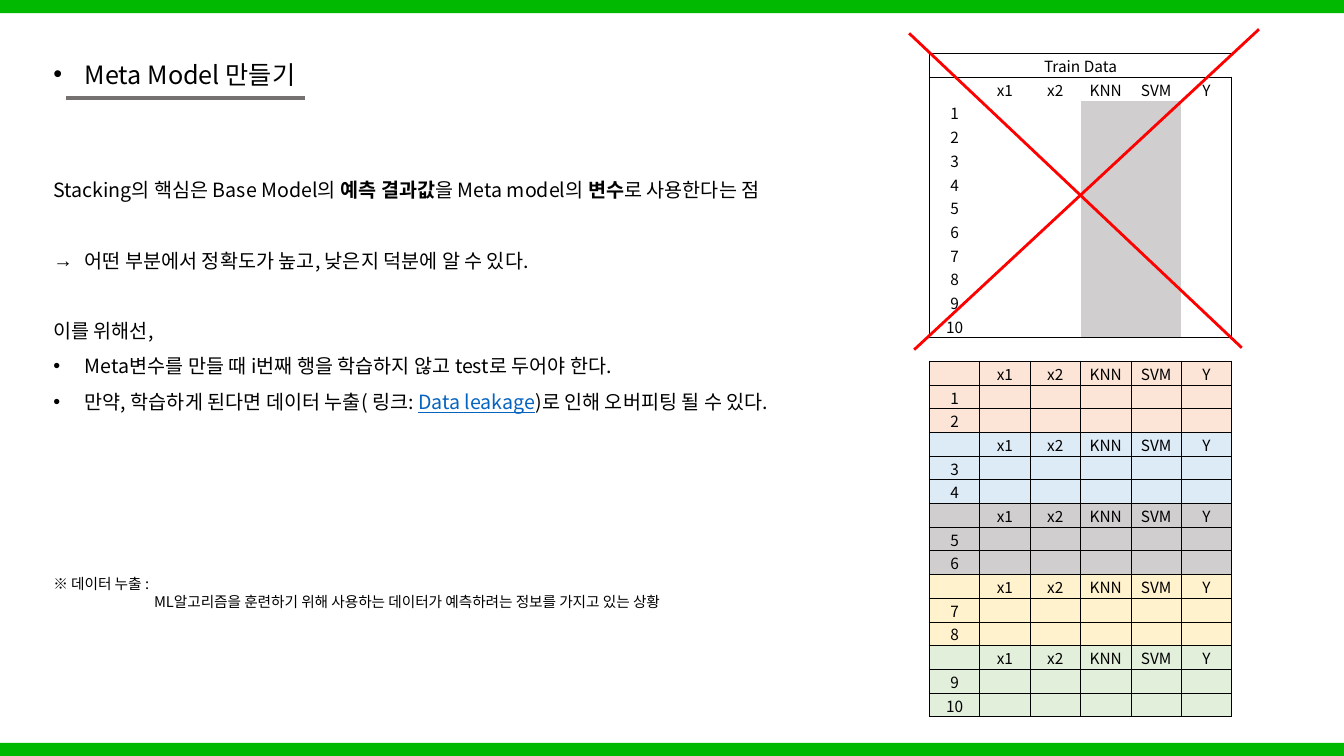
from pptx import Presentation
from pptx.dml.color import RGBColor
from pptx.enum.shapes import MSO_CONNECTOR, MSO_SHAPE
from pptx.enum.text import MSO_ANCHOR, PP_ALIGN
from pptx.oxml.xmlchemy import OxmlElement
from pptx.util import Pt

LINE, RECT = MSO_CONNECTOR.STRAIGHT, MSO_SHAPE.RECTANGLE
MIDDLE, CENTER = MSO_ANCHOR.MIDDLE, PP_ALIGN.CENTER
FONT = "Noto Sans CJK KR"
BLACK = RGBColor(0x00, 0x00, 0x00)
GREEN = RGBColor(0x00, 0xB9, 0x00)
RED = RGBColor(0xFF, 0x00, 0x00)
RULE_GRAY = RGBColor(0x76, 0x71, 0x71)
GRAY = RGBColor(0xD0, 0xCE, 0xCE)
LINK_BLUE = RGBColor(0x05, 0x63, 0xC1)
PEACH = RGBColor(0xFC, 0xE4, 0xD6)
SKY = RGBColor(0xDD, 0xEB, 0xF7)
CREAM = RGBColor(0xFF, 0xF2, 0xCC)
MINT = RGBColor(0xE2, 0xEF, 0xDA)

SLIDE_W, SLIDE_H, BAR_H = 960, 540, 9.36
BOLD = {"bold": True}
LINK = {"underline": True}

TITLE = [("•", 0, [("Meta Model 만들기", {}, BLACK)])]
BODY = [
    (None, 0, [("Stacking의 핵심은 Base Model의 ", {}, BLACK), ("예측 결과값", BOLD, BLACK),
               ("을 Meta model의 ", {}, BLACK), ("변수", BOLD, BLACK),
               ("로 사용한다는 점", {}, BLACK)]),
    ("→", 25.2, [("어떤 부분에서 정확도가 높고, 낮은지 덕분에 알 수 있다.", {}, BLACK)]),
    (None, 25.2, [("이를 위해선,", {}, BLACK)]),
    ("•", 0, [("Meta변수를 만들 때 i번째 행을 학습하지 않고 test로 두어야 한다.", {}, BLACK)]),
    ("•", 0, [("만약, 학습하게 된다면 데이터 누출( 링크: ", {}, BLACK),
              ("Data leakage", LINK, LINK_BLUE),
              (")로 인해 오버피팅 될 수 있다.", {}, BLACK)]),
]
NOTE = [
    (None, 0, [("※ 데이터 누출 :", {}, BLACK)]),
    ("indent", 0, [("ML알고리즘을 훈련하기 위해 사용하는 데이터가 예측하려는 정보를 가지고 있는 상황",
                    {}, BLACK)]),
]
TEXTS = [
    ((31, 38.16, 204.5, 28.8), 18, 22, TITLE),
    ((31, 115.2, 593.3, 236.2), 14, 25.2, BODY),
    ((31, 406.8, 512.6, 32.4), 10.5, 12.8, NOTE),
]

HEADER = ["", "x1", "x2", "KNN", "SVM", "Y"]
COLS = len(HEADER)
FOLD_COLORS = [PEACH, SKY, GRAY, CREAM, MINT]
FOLD_SIZE = 2
TABLE_X, COL_W, ROW_H = 663.84, 36, 16.94
TRAIN_Y, FOLDS_Y = 38.16, 258
NO_STYLE = "{2D5ABB26-0587-4C30-8999-92F81FD0307C}"

LINES = [
    ((47.5, 69.84), (218.2, 69.84), RULE_GRAY, 3),
    ((649.4, 23.8), (887, 248.4), RED, 2),
    ((653, 249.8), (899.3, 20.9), RED, 2),
]


def child(parent, tag, **attrs):
    e = OxmlElement(tag)
    for name, value in attrs.items():
        e.set(name, str(value))
    parent.append(e)
    return e


def add_run(p, text, size, color, formats):
    r = p.add_run()
    r.text = text
    for name, value in {"name": FONT, "size": Pt(size), **formats}.items():
        setattr(r.font, name, value)
    r.font.color.rgb = color
    child(r.font._element, "a:ea", typeface=FONT)


def add_text(s, box, size, pitch, paragraphs):
    tf = s.shapes.add_textbox(*map(Pt, box)).text_frame
    tf.word_wrap = True
    for i, (bullet, gap, runs) in enumerate(paragraphs):
        p = tf.add_paragraph() if i else tf.paragraphs[0]
        p.line_spacing, p.space_before = Pt(pitch), Pt(gap)
        pPr = p._p.get_or_add_pPr()
        if bullet == "indent":
            pPr.set("marL", str(Pt(72)))
        elif bullet:
            pPr.set("marL", str(Pt(22.5)))
            pPr.set("indent", str(Pt(-22.5)))
            child(pPr, "a:buFont", typeface="Arial")
            child(pPr, "a:buChar", char=bullet)
        for text, formats, color in runs:
            add_run(p, text, size, color, formats)


def add_line(s, start, end, color, width):
    c = s.shapes.add_connector(LINE, *map(Pt, start + end))
    c.line.color.rgb, c.line.width = color, Pt(width)
    child(c._element.spPr, "a:effectLst")


def style_cell(cell, text, fill, borders):
    margins = {"left": 0.7, "right": 0.7, "top": 0.7, "bottom": 0}
    for side, value in margins.items():
        setattr(cell, "margin_" + side, Pt(value))
    cell.vertical_anchor = MIDDLE
    p = cell.text_frame.paragraphs[0]
    p.alignment = CENTER
    if text:
        add_run(p, text, 11, BLACK, {})
    else:
        child(p._p, "a:endParaRPr", sz=1100)
    tcPr = cell._tc.get_or_add_tcPr()
    for side, width in zip("LRTB", borders):
        ln = child(tcPr, "a:ln" + side, w=Pt(width))
        if width:
            child(child(ln, "a:solidFill"), "a:srgbClr", val=BLACK)
        else:
            child(ln, "a:noFill")
    if fill is None:
        cell.fill.background()
    else:
        cell.fill.solid()
        cell.fill.fore_color.rgb = fill


def add_grid(s, y, rows, fill_at, inner, breaks):
    frame = s.shapes.add_table(len(rows), COLS, Pt(TABLE_X), Pt(y),
                               Pt(COLS * COL_W), Pt(len(rows) * ROW_H))
    table = frame.table
    table.first_row = table.horz_banding = False
    table._tbl.tblPr[0].text = NO_STYLE
    for column in table.columns:
        column.width = Pt(COL_W)
    for i, row in enumerate(rows):
        table.rows[i].height = Pt(ROW_H)
        for j, text in enumerate(row):
            borders = (1 if j == 0 else inner, 1 if j == COLS - 1 else inner,
                       1 if i in breaks else inner, 1 if i + 1 in breaks else inner)
            style_cell(table.cell(i, j), text, fill_at(i, j), borders)
    return table


def add_train_table(s):
    numbers = [[str(n)] + [""] * (COLS - 1)
               for n in range(1, len(FOLD_COLORS) * FOLD_SIZE + 1)]
    rows = [["Train Data"] + [""] * (COLS - 1), HEADER] + numbers
    table = add_grid(s, TRAIN_Y, rows,
                     lambda i, j: GRAY if i > 1 and HEADER[j] in ("KNN", "SVM") else None,
                     0, {0, 1, len(rows)})
    table.cell(0, 0).merge(table.cell(0, COLS - 1))


def add_fold_table(s):
    rows = []
    for fold in range(len(FOLD_COLORS)):
        rows.append(HEADER)
        for k in range(FOLD_SIZE):
            rows.append([str(fold * FOLD_SIZE + k + 1)] + [""] * (COLS - 1))
    step = FOLD_SIZE + 1
    add_grid(s, FOLDS_Y, rows, lambda i, j: FOLD_COLORS[i // step],
             0.5, set(range(0, len(rows) + 1, step)))


def main():
    prs = Presentation()
    prs.slide_width, prs.slide_height = Pt(SLIDE_W), Pt(SLIDE_H)
    s = prs.slides.add_slide(prs.slide_layouts[6])
    for y in (0, SLIDE_H - BAR_H):
        sp = s.shapes.add_shape(RECT, 0, Pt(y), Pt(SLIDE_W), Pt(BAR_H))
        sp.shadow.inherit = False
        sp.fill.solid()
        sp.fill.fore_color.rgb = GREEN
        sp.line.fill.background()
    add_train_table(s)
    add_fold_table(s)
    for text in TEXTS:
        add_text(s, *text)
    for line in LINES:
        add_line(s, *line)
    prs.save("out.pptx")


if __name__ == "__main__":
    main()
